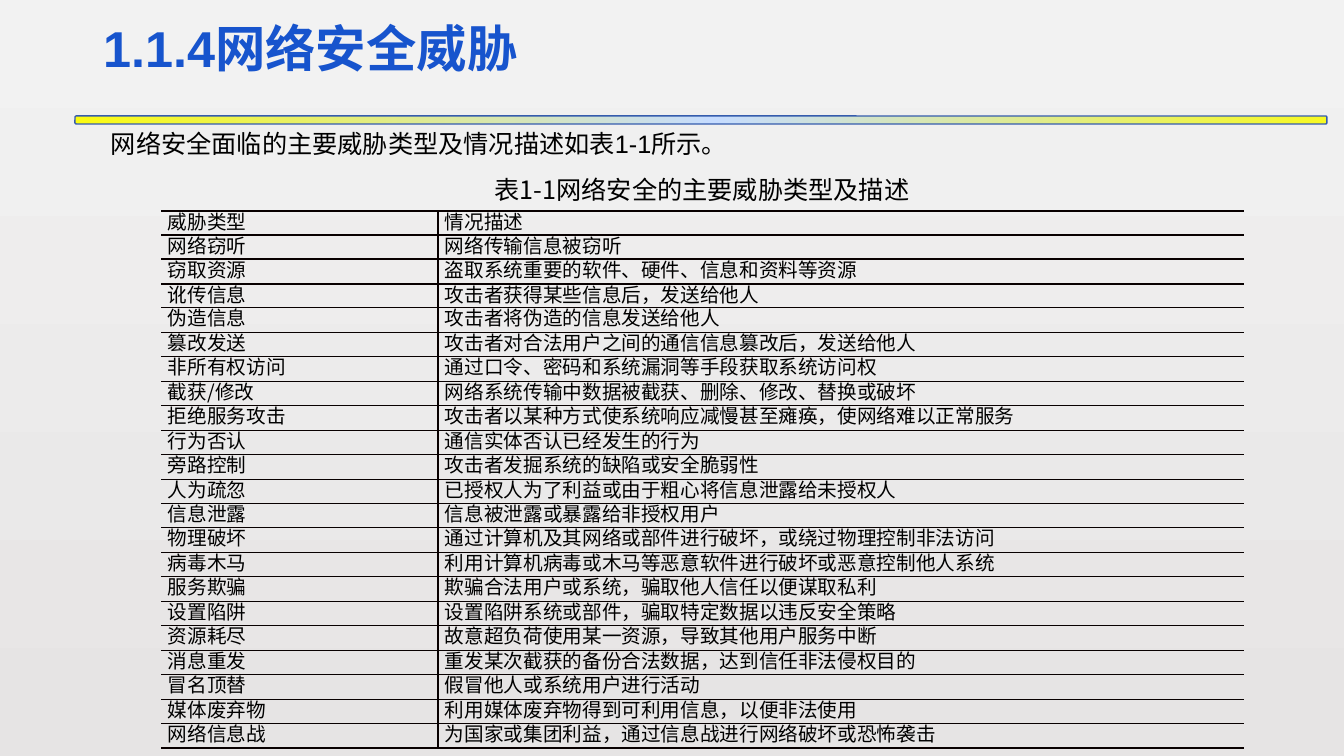
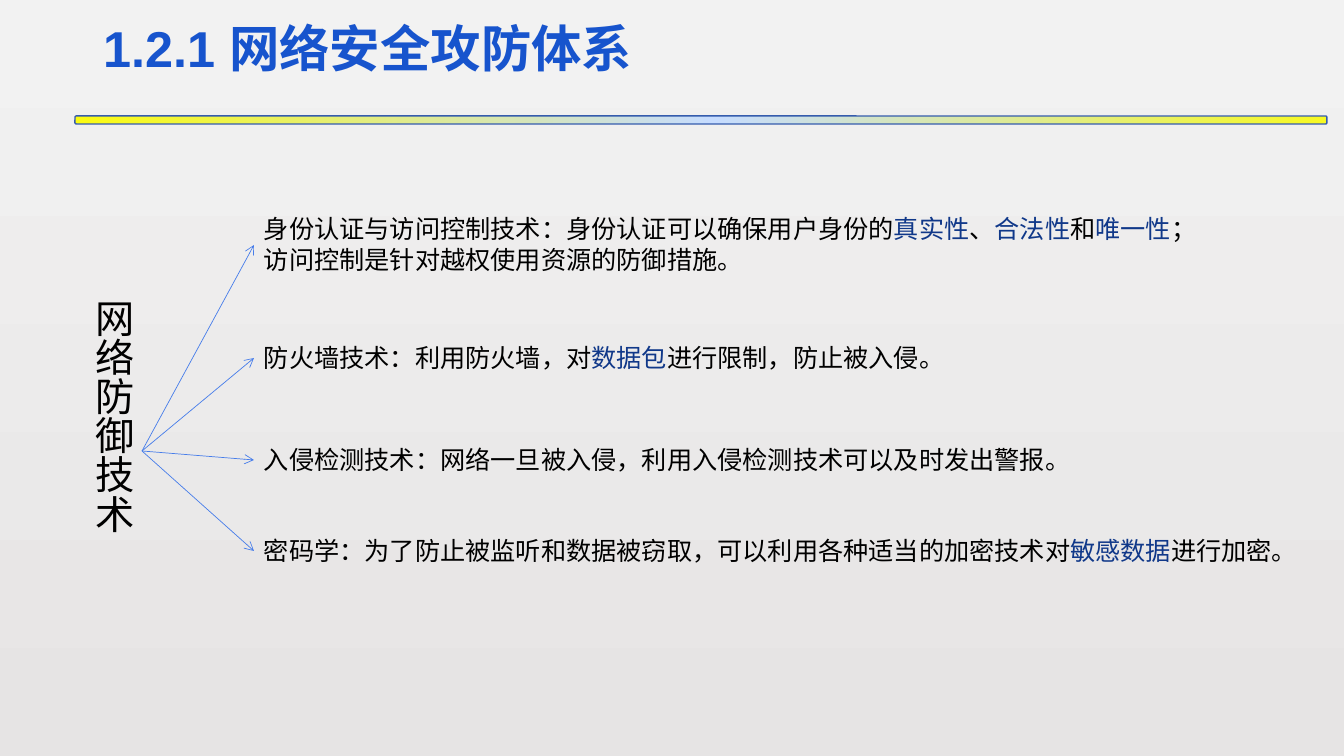
from copy import deepcopy
from dataclasses import dataclass

from lxml import etree
from pptx import Presentation
from pptx import util as u
from pptx.dml.color import RGBColor
from pptx.enum import shapes, text
from pptx.oxml.ns import qn


@dataclass(frozen=True)
class Theme:
    sans: str = "Arial"
    cjk: str = "Noto Sans CJK SC"
    title: str = "1754CD"
    ink: str = "000000"
    accent: str = "103889"
    arrow: str = "477DEA"
    bar_line: str = "355CAD"
    rule: str = "080000"
    bar: tuple = ((0, "FBFB11"), (0.51, "C6DCFF"), (1, "F7F923"))
    backdrop: tuple = ((0, "F2F2F2"), (1, "E6E4E4"))
    title_size: int = 36
    label_size: int = 28
    body_size: int = 18
    cell_size: int = 14
    body_leading: float = 21.5
    cell_leading: int = 17


theme = Theme()


def px(count):
    return u.Inches(count / 100.8)


def write(frame, spans, size, leading=None, bold=None):
    para = frame.paragraphs[0]
    if leading:
        para.line_spacing = u.Pt(leading)
    for words, color, face in spans:
        span = para.add_run()
        span.text = words
        span.font.name = face
        span.font.size = u.Pt(size)
        span.font.bold = bold
        span.font.color.rgb = RGBColor.from_string(color)
    return para


deck = Presentation()
deck.slide_width, deck.slide_height = px(1344), px(756)

backdrop = deck.slide_master.background.fill
backdrop.gradient()
backdrop.gradient_angle = 270
for stop, (position, color) in zip(backdrop.gradient_stops, theme.backdrop):
    stop.position = position
    stop.color.rgb = RGBColor.from_string(color)

pages = []
for heading in ("1.1.4网络安全威胁", "1.2.1 网络安全攻防体系"):
    page = deck.slides.add_slide(deck.slide_layouts[5])
    pages.append(page)

    bar = page.shapes.add_shape(
        shapes.MSO_SHAPE.ROUNDED_RECTANGLE, px(75), px(116), px(1252), px(8))
    bar.shadow.inherit = False
    bar.line.color.rgb = RGBColor.from_string(theme.bar_line)
    bar.line.width = u.Pt(1)
    bar.fill.gradient()
    bar.fill.gradient_angle = 0
    stops = bar._element.spPr.find(".//" + qn("a:gsLst"))
    stops.insert(1, deepcopy(stops[0]))
    for stop, (position, color) in zip(bar.fill.gradient_stops, theme.bar):
        stop.position = position
        stop.color.rgb = RGBColor.from_string(color)

    title = page.shapes.title
    title.left, title.top, title.width, title.height = px(93), px(7), px(1159), px(88)
    title.text_frame.auto_size = text.MSO_AUTO_SIZE.NONE
    title.text_frame.vertical_anchor = text.MSO_ANCHOR.MIDDLE
    para = write(title.text_frame, [(heading, theme.title, theme.sans)],
                 theme.title_size, bold=True)
    para.alignment = text.PP_ALIGN.LEFT
    para.line_spacing = 0.9

threats, defence = pages

captions = (
    (101, 124, 672, text.PP_ALIGN.LEFT, [
        ("网络安全面临的主要威胁类型及情况描述如表1-1所示。", theme.ink, theme.sans)]),
    (422, 170, 560, text.PP_ALIGN.CENTER, [
        ("表", theme.ink, theme.sans),
        ("1-1", theme.ink, theme.cjk),
        ("网络安全的主要威胁类型及描述", theme.ink, theme.sans)]),
)
for left, top, width, alignment, spans in captions:
    box = threats.shapes.add_textbox(px(left), px(top), px(width), px(40))
    box.text_frame.word_wrap = True
    para = write(box.text_frame, spans, theme.body_size, theme.body_leading)
    para.alignment = alignment

rows = (
    ("威胁类型", "情况描述"),
    ("网络窃听", "网络传输信息被窃听"),
    ("窃取资源", "盗取系统重要的软件、硬件、信息和资料等资源"),
    ("讹传信息", "攻击者获得某些信息后，发送给他人"),
    ("伪造信息", "攻击者将伪造的信息发送给他人"),
    ("篡改发送", "攻击者对合法用户之间的通信信息篡改后，发送给他人"),
    ("非所有权访问", "通过口令、密码和系统漏洞等手段获取系统访问权"),
    ("截获/修改", "网络系统传输中数据被截获、删除、修改、替换或破坏"),
    ("拒绝服务攻击", "攻击者以某种方式使系统响应减慢甚至瘫痪，使网络难以正常服务"),
    ("行为否认", "通信实体否认已经发生的行为"),
    ("旁路控制", "攻击者发掘系统的缺陷或安全脆弱性"),
    ("人为疏忽", "已授权人为了利益或由于粗心将信息泄露给未授权人"),
    ("信息泄露", "信息被泄露或暴露给非授权用户"),
    ("物理破坏", "通过计算机及其网络或部件进行破坏，或绕过物理控制非法访问"),
    ("病毒木马", "利用计算机病毒或木马等恶意软件进行破坏或恶意控制他人系统"),
    ("服务欺骗", "欺骗合法用户或系统，骗取他人信任以便谋取私利"),
    ("设置陷阱", "设置陷阱系统或部件，骗取特定数据以违反安全策略"),
    ("资源耗尽", "故意超负荷使用某一资源，导致其他用户服务中断"),
    ("消息重发", "重发某次截获的备份合法数据，达到信任非法侵权目的"),
    ("冒名顶替", "假冒他人或系统用户进行活动"),
    ("媒体废弃物", "利用媒体废弃物得到可利用信息，以便非法使用"),
    ("网络信息战", "为国家或集团利益，通过信息战进行网络破坏或恐怖袭击"),
)
table_height = 538
last = len(rows) - 1
table = threats.shapes.add_table(
    len(rows), 2, px(161), px(211), px(1083), px(table_height)).table
table.first_row = table.horz_banding = False
table._tbl.tblPr.find(qn("a:tableStyleId")).text = "{2D5ABB26-0587-4C30-8999-92F81FD0307C}"
table.columns[0].width, table.columns[1].width = px(277), px(806)

for index, row in enumerate(rows):
    row_top = index * table_height // len(rows)
    row_bottom = (index + 1) * table_height // len(rows)
    table.rows[index].height = px(row_bottom - row_top)
    for column, words in enumerate(row):
        cell = table.cell(index, column)
        cell.margin_left = cell.margin_right = px(7)
        cell.margin_top = cell.margin_bottom = 0
        write(cell.text_frame, [(words, theme.ink, theme.cjk)],
              theme.cell_size, theme.cell_leading)
        borders = (
            ("a:lnL", 1 if column == 1 else 0),
            ("a:lnR", 1 if column == 0 else 0),
            ("a:lnT", 1.5 if index == 0 else 1),
            ("a:lnB", 1.5 if index == last else 1),
        )
        for side, weight in borders:
            if weight:
                edge = etree.SubElement(
                    cell._tc.get_or_add_tcPr(), qn(side), w=str(u.Pt(weight)))
                paint = etree.SubElement(edge, qn("a:solidFill"))
                etree.SubElement(paint, qn("a:srgbClr"), val=theme.rule)
        cell.fill.background()

label = defence.shapes.add_textbox(px(75), px(289), px(67), px(324))
label.text_frame.word_wrap = True
label.text_frame._txBody.bodyPr.set("vert", "eaVert")
write(label.text_frame, [("网络防御技术", theme.ink, theme.sans)], theme.label_size)

techniques = (
    (209, 946, 72, (
        ("身份认证与访问控制技术：身份认证可以确保用户身份的", theme.ink),
        ("真实性", theme.accent),
        ("、", theme.ink),
        ("合法性", theme.accent),
        ("和", theme.ink),
        ("唯一性", theme.accent),
        ("；访问控制是针对越权使用资源的防御措施。", theme.ink))),
    (338, 946, 40, (
        ("防火墙技术：利用防火墙，对", theme.ink),
        ("数据包", theme.accent),
        ("进行限制，防止被入侵。", theme.ink))),
    (440, 946, 40, (
        ("入侵检测技术：网络一旦被入侵，利用入侵检测技术可以及时发出警报。", theme.ink),)),
    (531, 1060, 40, (
        ("密码学：为了防止被监听和数据被窃取，可以利用各种适当的加密技术对", theme.ink),
        ("敏感数据", theme.accent),
        ("进行加密。", theme.ink))),
)
for top, width, height, spans in techniques:
    box = defence.shapes.add_textbox(px(254), px(top), px(width), px(height))
    box.text_frame.word_wrap = True
    write(box.text_frame, [(words, color, theme.sans) for words, color in spans],
          theme.body_size, theme.body_leading)

    arrow = defence.shapes.add_connector(
        shapes.MSO_CONNECTOR.STRAIGHT, px(142), px(451), px(254), px(top + height // 2))
    arrow.begin_connect(label, 3)
    arrow.end_connect(box, 1)
    arrow.line.color.rgb = RGBColor.from_string(theme.arrow)
    arrow.line.width = u.Pt(0.5)
    etree.SubElement(arrow.line._get_or_add_ln(), qn("a:tailEnd"), type="arrow")
    etree.SubElement(arrow._element.spPr, qn("a:effectLst"))

deck.save("out.pptx")
